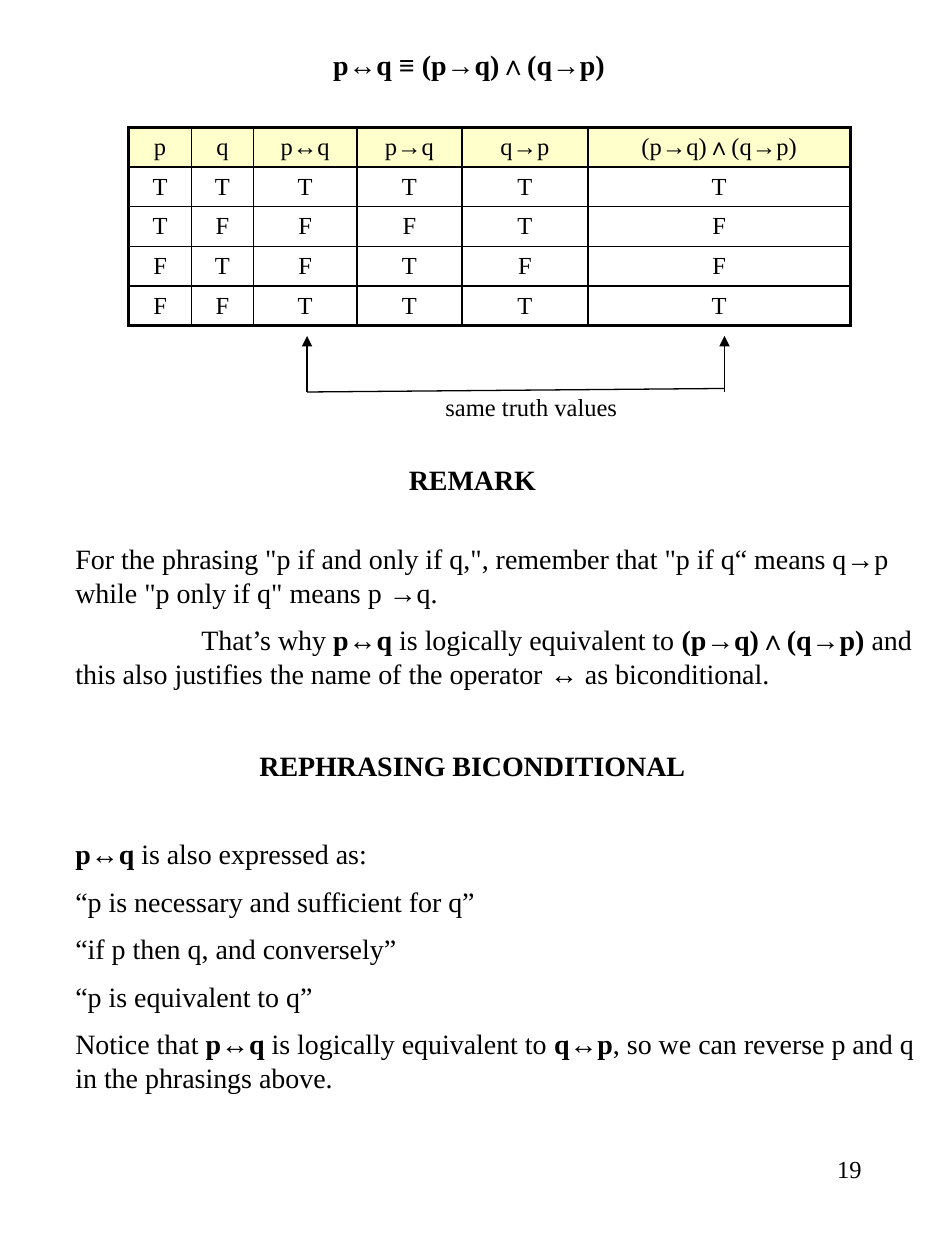
from dataclasses import dataclass

from lxml import etree
from pptx import Presentation
from pptx.dml.color import RGBColor
from pptx.enum.shapes import MSO_CONNECTOR
from pptx.enum.text import MSO_ANCHOR, MSO_AUTO_SIZE, PP_ALIGN
from pptx.oxml.ns import qn
from pptx.util import Pt

LEFT, CENTER, RIGHT = PP_ALIGN.LEFT, PP_ALIGN.CENTER, PP_ALIGN.RIGHT
TOP, MIDDLE = MSO_ANCHOR.TOP, MSO_ANCHOR.MIDDLE
STRAIGHT = MSO_CONNECTOR.STRAIGHT
BLACK = RGBColor(0x00, 0x00, 0x00)
HEADER_YELLOW = RGBColor(0xFF, 0xFF, 0xCC)
FONT = "Times New Roman"
PAGE_WIDTH, PAGE_HEIGHT = 540, 720
BODY_SIZE, SMALL_SIZE = 16, 14


@dataclass
class Span:
    text: str
    bold: bool = False


@dataclass
class Paragraph:
    spans: list[Span]
    first_line: float = 0


@dataclass
class TextBlock:
    left: float
    top: float
    width: float
    height: float
    paragraphs: list[Paragraph]
    size: float = BODY_SIZE
    align: PP_ALIGN = LEFT
    anchor: MSO_ANCHOR = TOP
    indent: float = 0


@dataclass
class Line:
    x1: float
    y1: float
    x2: float
    y2: float
    arrow: bool = False


def plain(text: str, bold: bool = False) -> Paragraph:
    return Paragraph([Span(text, bold)])


def heading(top: float, height: float, text: str) -> TextBlock:
    return TextBlock(0, top, PAGE_WIDTH, height, [plain(text, True)],
                     align=CENTER, anchor=MIDDLE)


def format_font(font, size: float, bold: bool = False) -> None:
    font.name = FONT
    font.size = Pt(size)
    font.bold = bold
    font.color.rgb = BLACK


def fill_text(shape, block: TextBlock) -> None:
    shape.left, shape.top = Pt(block.left), Pt(block.top)
    shape.width, shape.height = Pt(block.width), Pt(block.height)
    frame = shape.text_frame
    frame.word_wrap = True
    frame.auto_size = MSO_AUTO_SIZE.NONE
    frame.vertical_anchor = block.anchor
    for index, content in enumerate(block.paragraphs):
        paragraph = frame.paragraphs[0] if index == 0 else frame.add_paragraph()
        paragraph.alignment = block.align
        paragraph.space_before = Pt(block.size / 2 if block.align == LEFT else 0)
        if block.indent:
            properties = paragraph._p.get_or_add_pPr()
            properties.set("marL", str(Pt(block.indent)))
            properties.set("indent", str(Pt(content.first_line)))
        for span in content.spans:
            run = paragraph.add_run()
            run.text = span.text
            format_font(run.font, block.size, span.bold)


def draw_text(slide, block: TextBlock) -> None:
    fill_text(slide.shapes.add_textbox(0, 0, 0, 0), block)


def draw_line(slide, line: Line) -> None:
    connector = slide.shapes.add_connector(
        STRAIGHT, Pt(line.x1), Pt(line.y1), Pt(line.x2), Pt(line.y2))
    connector.line.color.rgb = BLACK
    connector.line.width = Pt(0.75)
    if line.arrow:
        etree.SubElement(connector.line._get_or_add_ln(), qn("a:tailEnd"), type="triangle")
    etree.SubElement(connector._element.spPr, qn("a:effectLst"))


def set_border(cell, side: str, width: float) -> None:
    border = etree.SubElement(cell._tc.get_or_add_tcPr(), qn(f"a:{side}"), w=str(Pt(width)))
    fill = etree.SubElement(border, qn("a:solidFill"))
    etree.SubElement(fill, qn("a:srgbClr"), val=str(BLACK))


def draw_truth_table(slide, left: float, top: float, row_height: float,
                     widths: list[float], rows: list[list[str]]) -> None:
    last_row, last_column = len(rows) - 1, len(widths) - 1
    table = slide.shapes.add_table(len(rows), len(widths), Pt(left), Pt(top),
                                   Pt(sum(widths)), Pt(row_height * len(rows))).table
    table.first_row = table.horz_banding = False
    for column, width in zip(table.columns, widths):
        column.width = Pt(width)
    for r, values in enumerate(rows):
        table.rows[r].height = Pt(row_height)
        for c, value in enumerate(values):
            cell = table.cell(r, c)
            cell.margin_top = cell.margin_bottom = Pt(3)
            cell.vertical_anchor = MIDDLE
            outer_sides = {"lnL": c == 0, "lnR": c == last_column,
                           "lnT": r == 0, "lnB": r == last_row}
            for side, is_outer in outer_sides.items():
                set_border(cell, side, 2.25 if is_outer else 1)
            if r == 0:
                cell.fill.solid()
                cell.fill.fore_color.rgb = HEADER_YELLOW
            else:
                cell.fill.background()
            paragraph = cell.text_frame.paragraphs[0]
            paragraph.text = value
            paragraph.alignment = CENTER
            format_font(paragraph.runs[0].font, SMALL_SIZE)


TITLE = heading(18, 38, "p↔q ≡ (p→q)∧(q→p) ")

COLUMN_WIDTHS = [36, 35.3, 59.2, 60, 72, 150]
TRUTH_ROWS = [["p", "q", "p↔q", "p→q", "q→p", "(p→q)∧(q→p)"],
              *map(list, ("TTTTTT", "TFFFTF", "FTFTFF", "FFTTTT"))]

# Bracket joining the two matching columns
BRACKET = [Line(175.5, 224, 175.5, 192, arrow=True),
           Line(414, 224, 414, 192, arrow=True),
           Line(175.5, 224, 414, 222)]

REMARK = TextBlock(0, 306, PAGE_WIDTH, 94, [
    plain('For the phrasing "p if and only if q,", remember that "p if q“ means q→p '
          'while "p only if q" means p →q.'),
    Paragraph([Span("That’s why "), Span("p↔q ", True),
               Span("is logically equivalent to "), Span("(p→q)∧(q→p) ", True),
               Span("and this also justifies the name of the operator "),
               Span("↔", True), Span(" as biconditional.")], first_line=72),
], indent=36)

REPHRASINGS = TextBlock(0, 474.5, PAGE_WIDTH, 161, [
    Paragraph([Span("p↔q", True), Span(" is also expressed as:")]),
    plain("“p is necessary and sufficient for q”"),
    plain("“if p then q, and conversely”"),
    plain("“p is equivalent to q”"),
    Paragraph([Span("Notice that "), Span("p↔q ", True),
               Span("is logically equivalent to "), Span("q↔p", True),
               Span(", so we can reverse p and q in the phrasings above.")]),
], indent=36)

TEXT_BLOCKS = [
    TextBlock(387.5, 656, 112, 48, [plain("19")], SMALL_SIZE, RIGHT),
    TextBlock(247.5, 220.5, 158, 24, [plain("same truth values")], SMALL_SIZE),
    heading(252, 44, "REMARK"),
    REMARK,
    heading(418.5, 38, "REPHRASING BICONDITIONAL"),
    REPHRASINGS,
]


def main() -> None:
    deck = Presentation()
    deck.slide_width, deck.slide_height = Pt(PAGE_WIDTH), Pt(PAGE_HEIGHT)
    slide = deck.slides.add_slide(deck.slide_layouts[5])

    # Equivalence and its truth table
    fill_text(slide.shapes.title, TITLE)
    draw_truth_table(slide, 73.5, 72.7, 22.7, COLUMN_WIDTHS, TRUTH_ROWS)
    for line in BRACKET:
        draw_line(slide, line)

    # Explanations and page number
    for block in TEXT_BLOCKS:
        draw_text(slide, block)

    deck.save("out.pptx")


if __name__ == "__main__":
    main()
